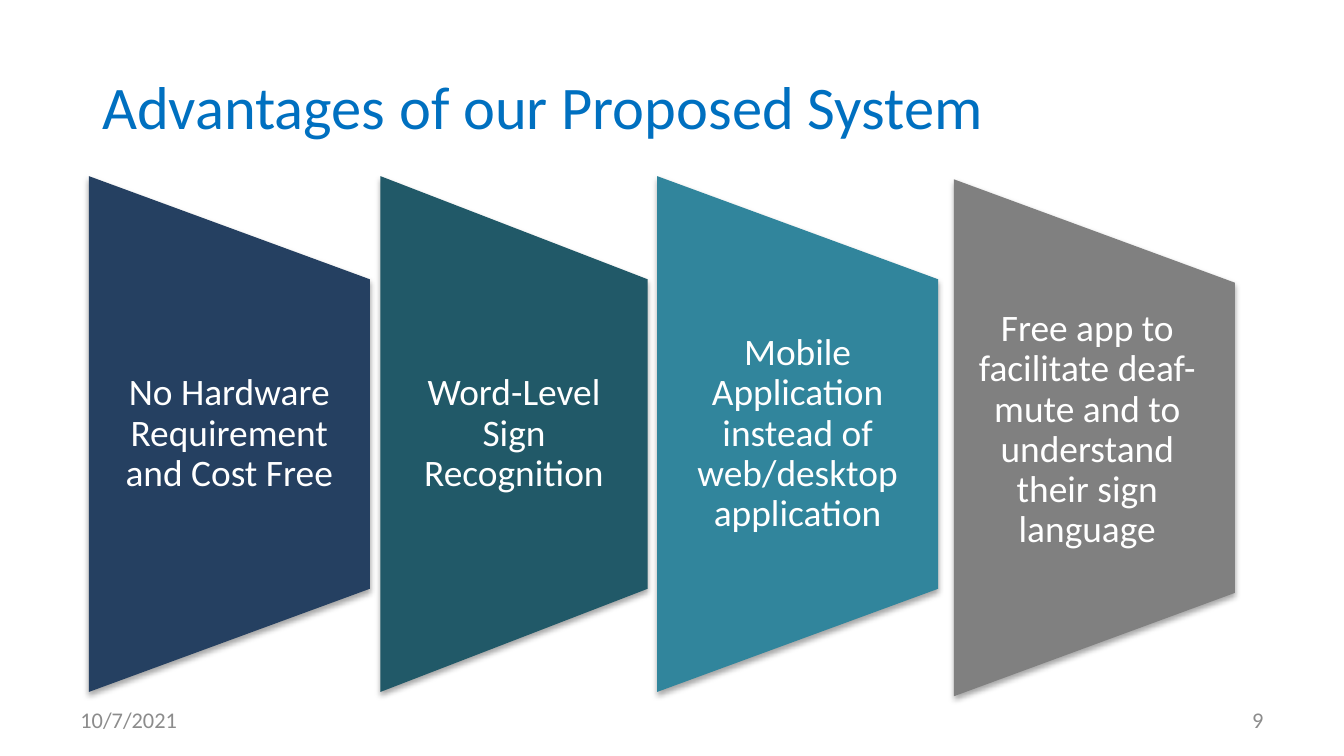
from lxml import etree
from pptx import Presentation
from pptx.dml.color import RGBColor
from pptx.enum.shapes import MSO_SHAPE
from pptx.enum.text import MSO_ANCHOR, MSO_AUTO_SIZE, PP_ALIGN
from pptx.oxml.ns import qn
from pptx.util import Cm, Pt

LEFT, CENTER, RIGHT = PP_ALIGN.LEFT, PP_ALIGN.CENTER, PP_ALIGN.RIGHT
MIDDLE = MSO_ANCHOR.MIDDLE
FIXED = MSO_AUTO_SIZE.NONE
FUNNEL = MSO_SHAPE.FLOWCHART_MANUAL_OPERATION

COLORS = {
    "title": "0070C0", "navy": "254061", "teal": "215968", "aqua": "31859C",
    "gray": "808080", "white": "FFFFFF", "muted": "8C8C8C", "shadow": "000000",
}
TITLE_ONLY = 5
TOP, HEIGHT = 3.33, 9.75
SLANT = HEIGHT / 5

# left, width, colour, text
PANELS = [
    (1.68, 5.31, "navy", "No Hardware Requirement and Cost Free"),
    (7.19, 5.05, "teal", "Word-Level Sign Recognition"),
    (12.42, 5.31, "aqua", "Mobile Application instead of web/desktop application"),
]
LAST = "Free app to facilitate deaf-mute and to understand their sign language"


def write(frame, text, size=20, color="white", align=CENTER, spacing=None,
          inset=(0.25, 0.13, 0.25, 0.13), font="Calibri"):
    frame.word_wrap = True
    frame.auto_size = FIXED
    frame.vertical_anchor = MIDDLE
    (frame.margin_left, frame.margin_top,
     frame.margin_right, frame.margin_bottom) = map(Cm, inset)
    para = frame.paragraphs[0]
    para.alignment = align
    para.line_spacing = spacing
    run = para.add_run()
    run.text = text
    run.font.name = font
    run.font.size = Pt(size)
    run.font.color.rgb = RGBColor.from_string(COLORS[color])


class Deck:
    def __init__(self):
        self.prs = Presentation()
        self.prs.slide_width, self.prs.slide_height = Cm(25.4), Cm(14.29)
        self.slide = self.prs.slides.add_slide(self.prs.slide_layouts[TITLE_ONLY])
        self.shapes = self.slide.shapes

    def title(self, text, left, top, width, height):
        box = self.shapes.title
        box.left, box.top, box.width, box.height = map(Cm, (left, top, width, height))
        write(box.text_frame, text, size=32.4, color="title", align=LEFT)

    def text(self, text, left, top, width, height, **style):
        box = self.shapes.add_textbox(*map(Cm, (left, top, width, height)))
        write(box.text_frame, text, **style)

    def paint(self, shape, color):
        """Give a flat fill, no line and a soft shadow straight below."""
        shape.fill.solid()
        shape.fill.fore_color.rgb = RGBColor.from_string(COLORS[color])
        shape.line.fill.background()
        shape.shadow.inherit = False
        effects = shape._element.spPr.find(qn("a:effectLst"))
        outer = etree.SubElement(effects, qn("a:outerShdw"), blurRad="40000",
                                 dist="23000", dir="5400000", rotWithShape="0")
        tint = etree.SubElement(outer, qn("a:srgbClr"), val=COLORS["shadow"])
        etree.SubElement(tint, qn("a:alpha"), val="35000")

    def panel(self, left, width, color, text):
        right, bottom = left + width, TOP + HEIGHT
        points = [(left, TOP), (right, TOP + SLANT), (right, bottom - SLANT)]
        pen = self.shapes.build_freeform(Cm(left), Cm(bottom))
        pen.add_line_segments([(Cm(x), Cm(y)) for x, y in points])
        shape = pen.convert_to_shape()
        self.paint(shape, color)
        write(shape.text_frame, text, spacing=0.9, inset=(0.36, SLANT, 0.36, SLANT))

    def funnel(self, left, top, width, height, color):
        """Place a funnel turned on its side; the size is as seen."""
        shift = (height - width) / 2
        shape = self.shapes.add_shape(
            FUNNEL, Cm(left - shift), Cm(top + shift), Cm(height), Cm(width))
        shape.rotation = 270
        self.paint(shape, color)


def main():
    deck = Deck()
    deck.title("Advantages of our Proposed System", 1.68, 1.19, 17.4, 1.6)
    for panel in PANELS:
        deck.panel(*panel)
    deck.funnel(18.03, 3.39, 5.31, 9.77, "gray")
    deck.text(LAST, 17.78, 4.98, 5.54, 5.87, spacing=0.9,
              inset=(0.38, 0.43, 0.38, 0))
    foot = {"size": 12, "color": "muted"}
    deck.text("9", 18.21, 13.23, 5.92, 0.76, align=RIGHT, **foot)
    deck.text("10/7/2021", 1.27, 13.23, 5.92, 0.76, align=LEFT, **foot)
    deck.prs.save("out.pptx")


if __name__ == "__main__":
    main()
